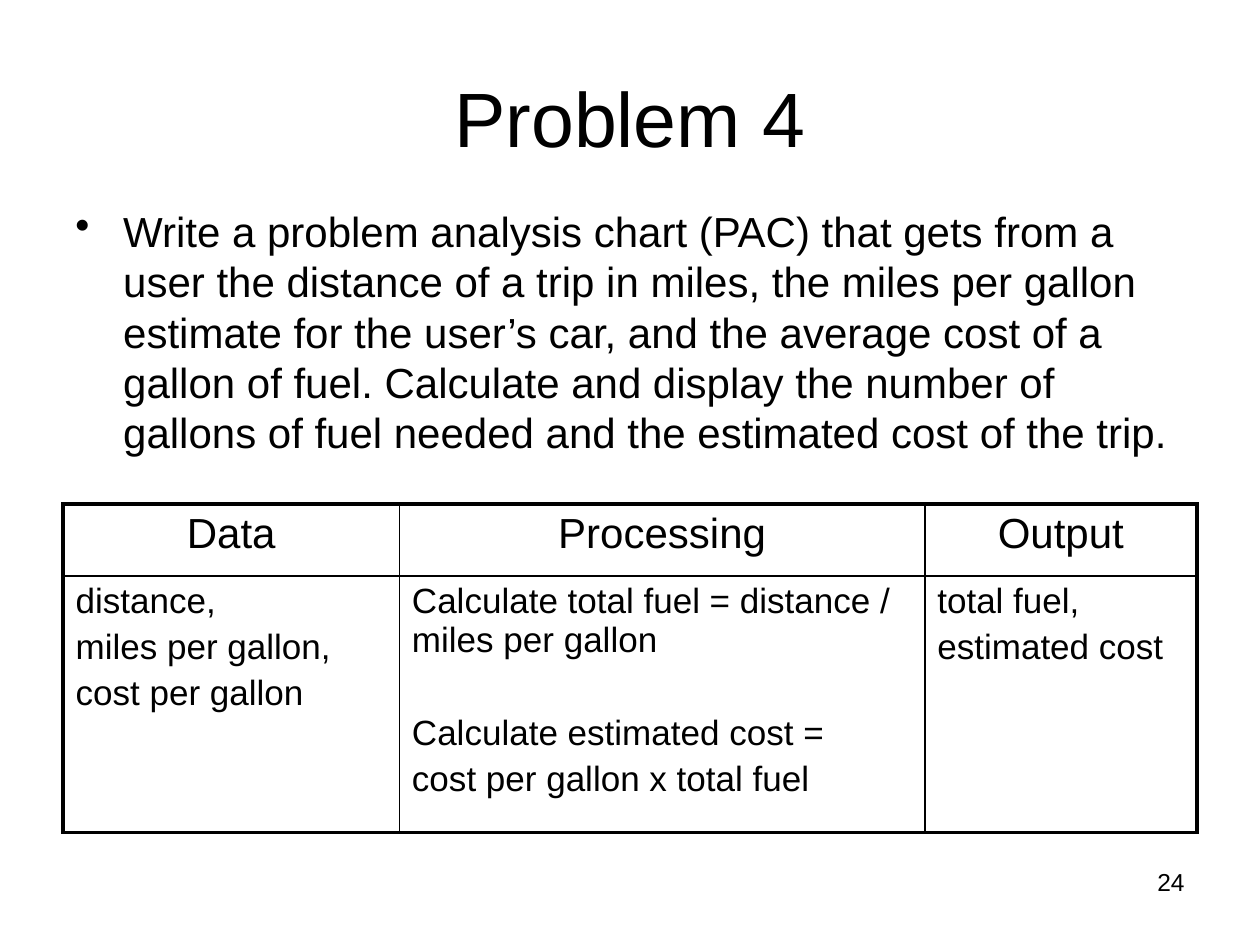
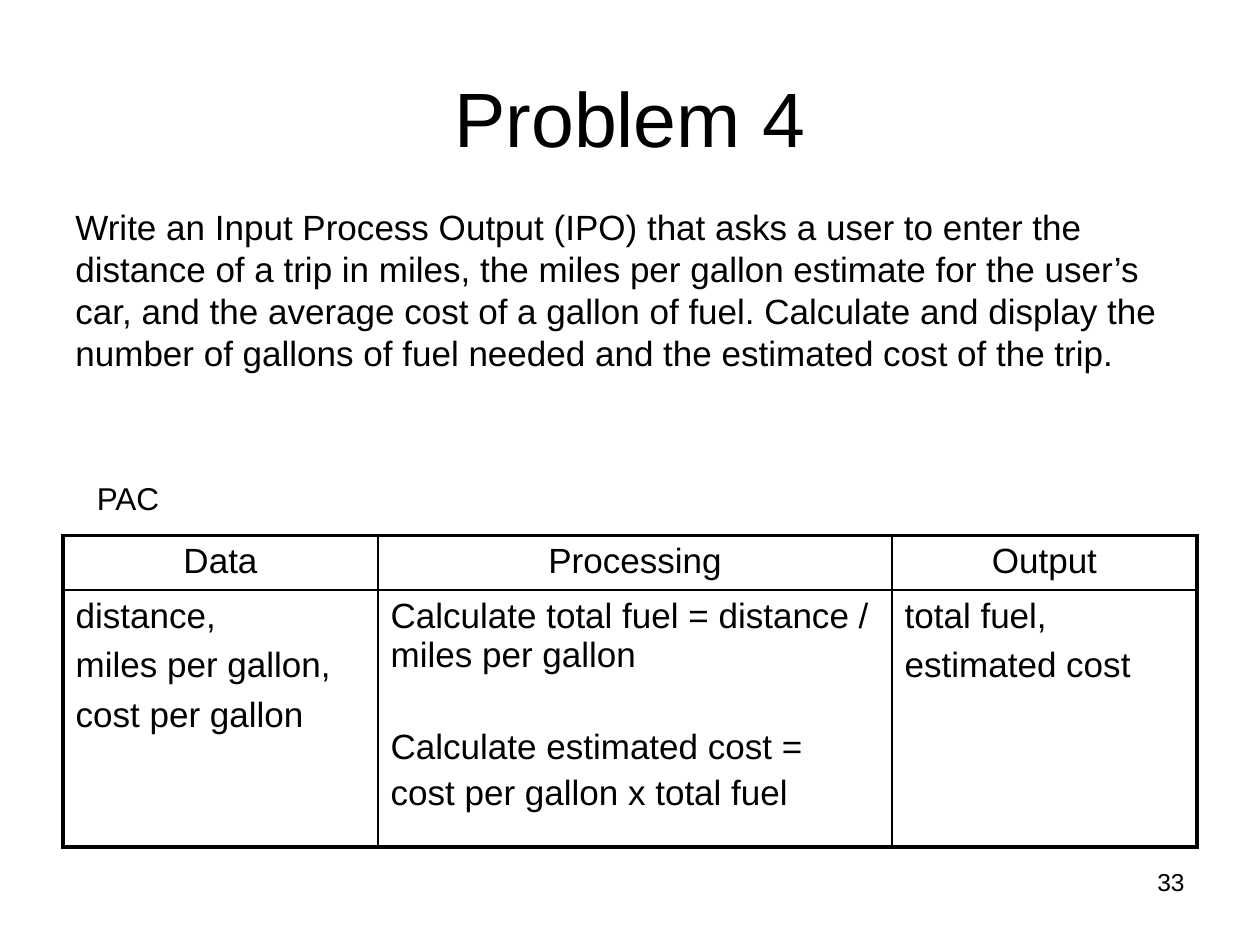
from pptx import Presentation
from pptx.dml.color import RGBColor
from pptx.enum.text import MSO_ANCHOR, MSO_AUTO_SIZE, PP_ALIGN
from pptx.oxml import parse_xml
from pptx.oxml.ns import nsdecls
from pptx.util import Inches, Pt

BLACK = "000000"
HEADERS = ["Data", "Processing", "Output"]
DATA = ["distance,", "miles per gallon,", "cost per gallon"]
PROCESSING = [
    "Calculate total fuel = distance / miles per gallon",
    "Calculate estimated cost =",
    "cost per gallon x total fuel",
]
OUTPUT = ["total fuel,", "estimated cost"]
TASK = (
    "the distance of a trip in miles, the miles per gallon estimate for the user’s car, "
    "and the average cost of a gallon of fuel. Calculate and display the number of gallons "
    "of fuel needed and the estimated cost of the trip."
)


def color(value):
    return RGBColor.from_string(value)


class ProblemDeck:
    font_name = "Arial"
    outer_border = 2.25
    inner_border = 1

    def __init__(self):
        self.deck = Presentation()
        self.deck.slide_width = Inches(10)
        self.deck.slide_height = Inches(7.5)
        self.page = None

    def add_page(self, title, number):
        self.page = self.deck.slides.add_slide(self.deck.slide_layouts[6])
        self.text(title, 0.5, 0.3, 9, 1.25, 44, PP_ALIGN.CENTER, MSO_ANCHOR.MIDDLE)
        self.text(number, 7.17, 6.83, 2.33, 0.52, 14, PP_ALIGN.RIGHT)

    def style(self, paragraph, size, align=PP_ALIGN.LEFT):
        paragraph.alignment = align
        paragraph.font.name = self.font_name
        paragraph.font.size = Pt(size)
        paragraph.font.color.rgb = color(BLACK)

    def text(self, words, left, top, width, height, size,
             align=PP_ALIGN.LEFT, anchor=MSO_ANCHOR.TOP):
        box = self.page.shapes.add_textbox(
            Inches(left), Inches(top), Inches(width), Inches(height))
        box.text_frame.word_wrap = True
        box.text_frame.vertical_anchor = anchor
        paragraph = box.text_frame.paragraphs[0]
        paragraph.text = words
        self.style(paragraph, size, align)
        return box

    def label(self, words, left, top, width, height, size):
        box = self.text(words, left, top, width, height, size)
        box.text_frame.word_wrap = False
        box.text_frame.auto_size = MSO_AUTO_SIZE.SHAPE_TO_FIT_TEXT

    def body(self, words, size, bullet=False):
        box = self.text(words, 0.5, 1.58, 9, 5.12, size)
        paragraph = box.text_frame.paragraphs[0]
        paragraph.line_spacing = Pt(size * 1.2)
        if bullet:
            properties = paragraph._p.get_or_add_pPr()
            properties.set("marL", str(Inches(0.38)))
            properties.set("indent", str(Inches(-0.38)))
            mark = parse_xml(f'<a:buChar {nsdecls("a")} char="•"/>')
            properties.find("{*}defRPr").addprevious(mark)

    def border(self, cell, side, width):
        cell._tc.get_or_add_tcPr().append(parse_xml(
            f'<a:ln{side} {nsdecls("a")} w="{Pt(width)}"><a:solidFill>'
            f'<a:srgbClr val="{BLACK}"/></a:solidFill></a:ln{side}>'))

    def fill_cell(self, cell, lines, size, align, gaps):
        cell.text = "\n".join(lines)
        for paragraph, gap in zip(cell.text_frame.paragraphs, gaps):
            paragraph.space_before = Pt(gap)
            self.style(paragraph, size, align)

    def chart_table(self, top, widths, heights, header_size, list_gap):
        frame = self.page.shapes.add_table(
            2, 3, Inches(0.5), Inches(top), Inches(9), Inches(sum(heights)))
        table = frame.table
        table.first_row = False
        table.horz_banding = False
        for column, width in zip(table.columns, widths):
            column.width = Inches(width)
        for row, height in zip(table.rows, heights):
            row.height = Inches(height)
        for index, header in enumerate(HEADERS):
            self.fill_cell(table.cell(0, index), [header], header_size, PP_ALIGN.CENTER, [0])
        list_gaps = [0, list_gap, list_gap]
        columns = [(DATA, list_gaps), (PROCESSING, [0, 30.5, 4]), (OUTPUT, list_gaps)]
        for index, (lines, gaps) in enumerate(columns):
            self.fill_cell(table.cell(1, index), lines, 20, PP_ALIGN.LEFT, gaps)
        for row in range(2):
            for column in range(3):
                cell = table.cell(row, column)
                edges = {"L": column == 0, "R": column == 2, "T": row == 0, "B": row == 1}
                for side, is_outer in edges.items():
                    self.border(cell, side, self.outer_border if is_outer else self.inner_border)
                cell.fill.background()


def main():
    problem = ProblemDeck()

    problem.add_page("Problem 4", "24")
    problem.body("Write a problem analysis chart (PAC) that gets from a user " + TASK, 24, bullet=True)
    problem.chart_table(4, [2.67, 4.17, 2.16], [0.57, 2.04], 24, 4)

    problem.add_page("Problem 4", "33")
    problem.body("Write an Input Process Output (IPO) that asks a user to enter " + TASK, 20)
    problem.chart_table(4.25, [2.5, 4.08, 2.42], [0.43, 2.04], 20, 6)
    problem.label("PAC", 0.67, 3.75, 0.7, 0.4, 18)

    problem.deck.save("out.pptx")


if __name__ == "__main__":
    main()
